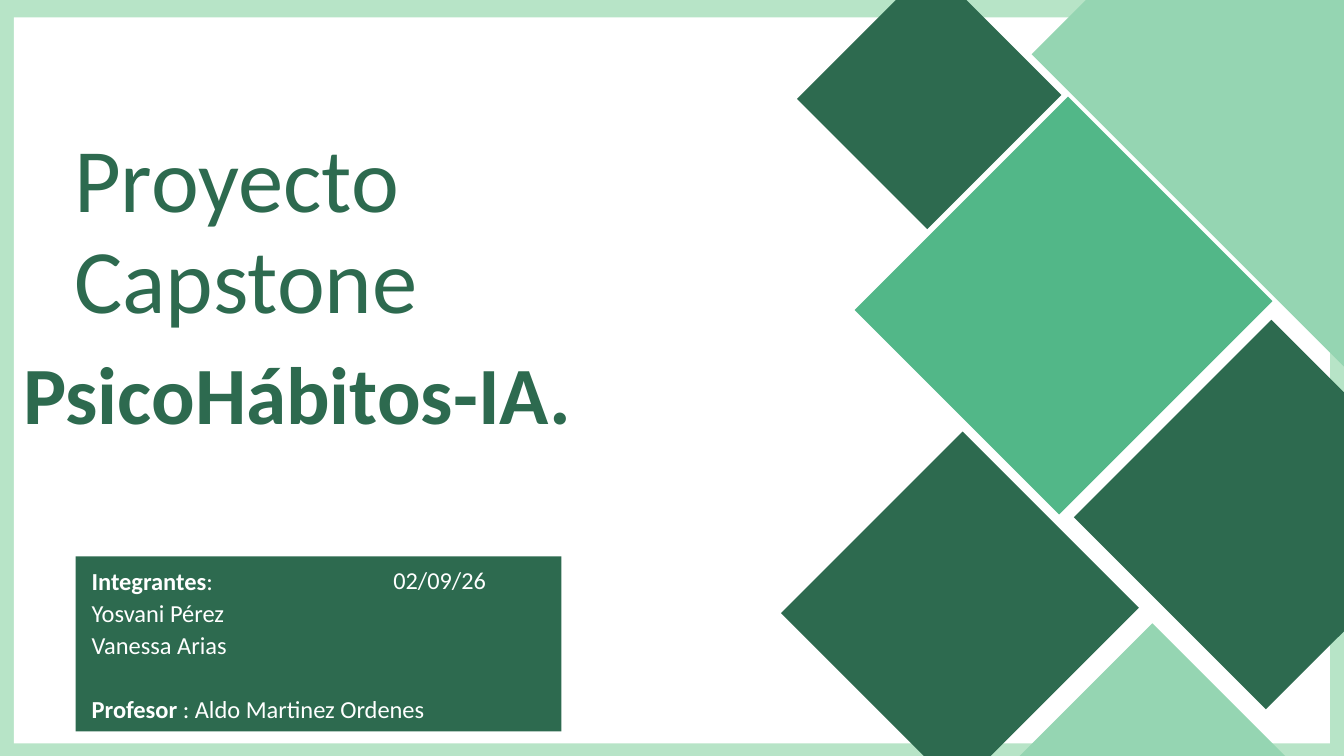
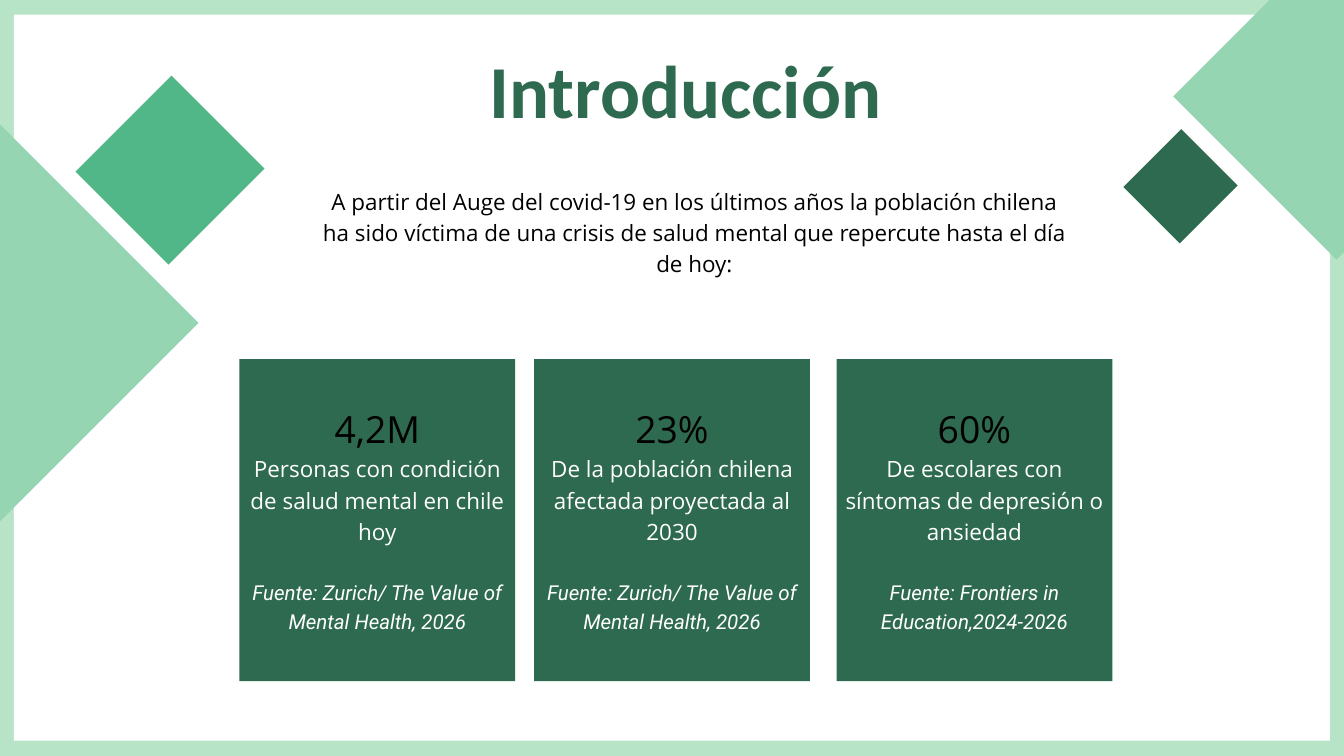
from pptx import Presentation
from pptx.dml.color import RGBColor
from pptx.enum.shapes import MSO_SHAPE as SHAPE
from pptx.enum.text import MSO_ANCHOR as ANCHOR, PP_ALIGN as ALIGN
from pptx.util import Emu, Pt

DARK, MID, LIGHT, PALE = "2D6A4F", "52B788", "95D5B2", "B7E4C7"
WHITE, BLACK = "FFFFFF", "000000"
HEAD_FONT, BODY_FONT, SOURCE_FONT = "Calibri", "Open Sans", "Roboto"

COVER_BACK = [
    (1192, 7, 271, 263, DARK),
    (1602, -273, 718, 660, LIGHT),
    (1613, 541, 399, 388, DARK),
    (1188, 694, 367, 356, DARK),
    (1459, 968, 367, 356, LIGHT),
    (1304, 230, 431, 413, MID),
]
INTRO_DIAMONDS = [
    (-324, 240, 516, 473, LIGHT),
    (1740, -38, 360, 330, LIGHT),
    (146, 149, 194, 188, MID),
    (1628, 209, 117, 114, DARK),
]
FIGURES = [
    (342, "4,2M", "Personas con condición de salud mental en chile hoy",
     "Fuente: Zurich/ The Value of Mental Health, 2026"),
    (763, "23%", "De la población chilena afectada proyectada al 2030",
     "Fuente: Zurich/ The Value of Mental Health, 2026"),
    (1195, "60%", "De escolares con síntomas de depresión o ansiedad",
     "Fuente: Frontiers in Education,2024-2026"),
]


def px(n):
    """Turn pixels into EMU."""
    return Emu(n * 9525)


def rgb(value):
    """Turn a hex string into a colour."""
    return RGBColor.from_string(value)


def add_block(slide, x, y, w, h, color, rotation=0):
    """Add a flat rectangle."""
    s = slide.shapes.add_shape(SHAPE.RECTANGLE, px(x), px(y), px(w), px(h))
    s.fill.solid()
    s.fill.fore_color.rgb = rgb(color)
    s.line.fill.background()
    s.shadow.inherit = False
    s.rotation = rotation
    return s


def set_margins(tf, side, bottom):
    """Wrap a text frame and set its insets."""
    tf.word_wrap = True
    tf.margin_left = tf.margin_right = tf.margin_top = px(side)
    tf.margin_bottom = px(bottom)


def add_paragraph(tf, runs, size, spacing, color, font=HEAD_FONT,
                  align=ALIGN.LEFT, bold=None, italic=None, before=0):
    """Fill the empty first paragraph or append one; runs are (text, bold) pairs or a string."""
    p = tf.paragraphs[0] if not tf.text else tf.add_paragraph()
    p.alignment = align
    p.line_spacing = Pt(spacing)
    if before:
        p.space_before = Pt(before)
    p.font.name, p.font.size, p.font.color.rgb = font, Pt(size), rgb(color)
    p.font.bold, p.font.italic = bold, italic
    for text, heavy in [(runs, None)] if isinstance(runs, str) else runs:
        r = p.add_run()
        r.text = text
        r.font.bold = heavy


def add_text(slide, x, y, w, h):
    """Add a text box without insets and return its frame."""
    tf = slide.shapes.add_textbox(px(x), px(y), px(w), px(h)).text_frame
    set_margins(tf, 0, 0)
    return tf


def add_slide(prs, panel_top):
    """Add a blank slide with the pale frame around a white panel."""
    slide = prs.slides.add_slide(prs.slide_layouts[6])
    slide.background.fill.solid()
    slide.background.fill.fore_color.rgb = rgb(PALE)
    add_block(slide, 20, panel_top, 1880, 1037, WHITE)
    return slide


def add_diamonds(slide, diamonds):
    """Add rectangles turned by an eighth of a circle."""
    for x, y, w, h, color in diamonds:
        add_block(slide, x, y, w, h, color, 315)


def add_figure_card(slide, x, figure, label, source):
    """Add a card with a figure, its meaning and its source."""
    tf = add_block(slide, x, 513, 394, 460, DARK).text_frame
    set_margins(tf, 5, 16)
    tf.vertical_anchor = ANCHOR.MIDDLE
    add_paragraph(tf, figure, 40, 56, BLACK, BODY_FONT, ALIGN.CENTER)
    add_paragraph(tf, label, 24, 33.6, WHITE, BODY_FONT, ALIGN.CENTER)
    add_paragraph(tf, source, 22, 30.8, WHITE, SOURCE_FONT, ALIGN.CENTER,
                  italic=True, before=33.6)


def build_cover(prs):
    """Build the cover."""
    slide = add_slide(prs, 25)
    add_diamonds(slide, COVER_BACK)
    add_paragraph(add_text(slide, 106, 184, 813, 294), "Proyecto Capstone",
                  97.1, 108.8, DARK, align=ALIGN.JUSTIFY)
    add_paragraph(add_text(slide, 33, 499, 1234, 132), "PsicoHábitos-IA.",
                  87.1, 97.5, DARK, align=ALIGN.JUSTIFY, bold=True)
    add_block(slide, 108, 795, 694, 250, DARK)
    team = add_text(slide, 131, 805, 610, 224)
    add_paragraph(team, [("Integrantes", True), (":", None)], 26.2, 34.3, WHITE)
    for name in ("Yosvani Pérez", "Vanessa Arias"):
        add_paragraph(team, name, 26.2, 34.3, WHITE)
    add_paragraph(team, [("Profesor ", True), (": Aldo Martinez Ordenes", None)],
                  26.2, 34.3, WHITE, before=34.3)
    add_paragraph(add_text(slide, 562, 804, 357, 45), "02/09/26", 26, 34.1, WHITE)


def build_intro(prs):
    """Build the introduction with its three figures."""
    slide = add_slide(prs, 21)
    add_diamonds(slide, INTRO_DIAMONDS)
    add_paragraph(add_text(slide, 623, 91, 737, 206), "Introducción ",
                  80, 75.2, DARK, align=ALIGN.CENTER, bold=True)
    for figure in FIGURES:
        add_figure_card(slide, *figure)
    add_paragraph(add_text(slide, 453, 262, 1078, 130),
                  "A partir del Auge del covid-19 en los últimos años la población "
                  "chilena ha sido víctima de una crisis de salud mental que "
                  "repercute hasta el día de hoy:",
                  24, 33.6, BLACK, BODY_FONT, ALIGN.CENTER)


def main():
    """Build and save the presentation."""
    prs = Presentation()
    prs.slide_width, prs.slide_height = px(1920), px(1080)
    build_cover(prs)
    build_intro(prs)
    prs.save("out.pptx")


if __name__ == "__main__":
    main()
